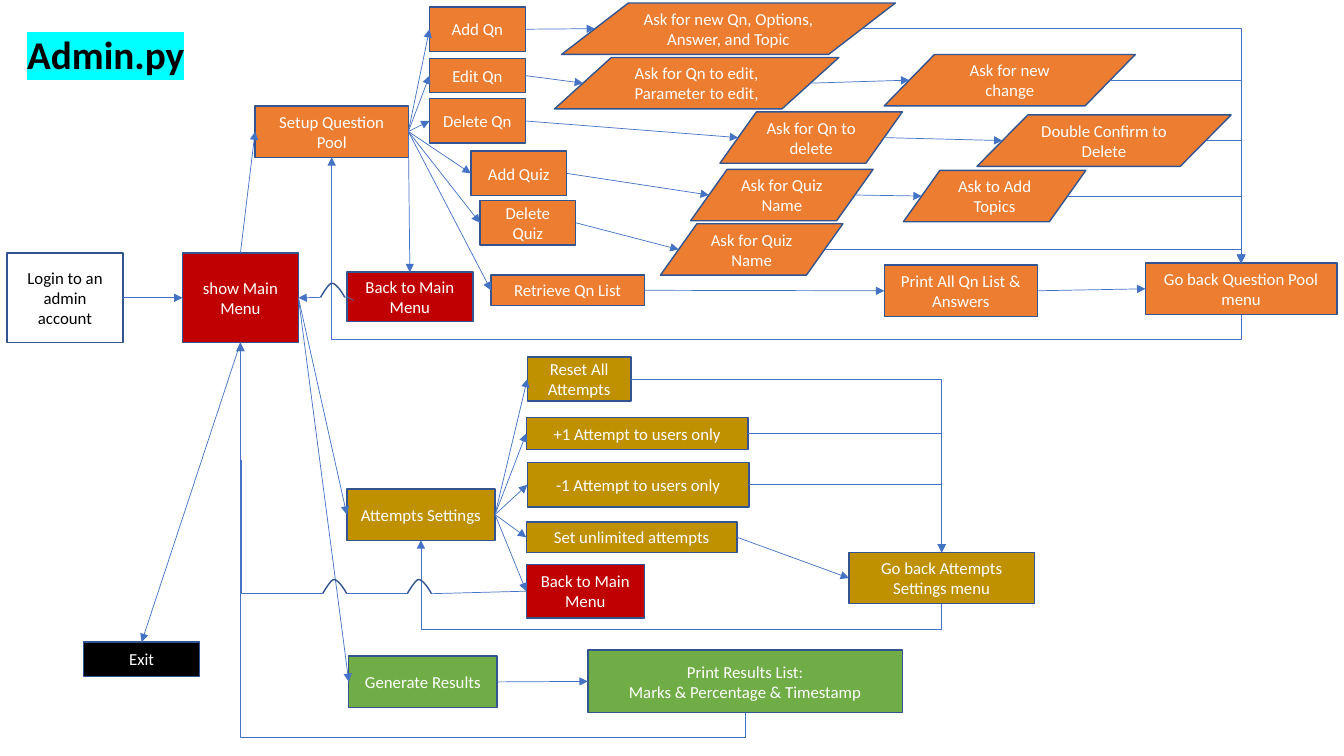
"""Draw the flow chart of the Admin.py menus on one slide."""
from lxml.etree import SubElement
from pptx import Presentation
from pptx.dml.color import RGBColor
from pptx.enum.shapes import MSO_CONNECTOR, MSO_SHAPE
from pptx.enum.text import MSO_ANCHOR, MSO_AUTO_SIZE, PP_ALIGN
from pptx.oxml.ns import qn
from pptx.util import Pt

PX = 9144
FONT = "Calibri"
WHITE = RGBColor(0xFF, 0xFF, 0xFF)
BLACK = RGBColor(0x00, 0x00, 0x00)
RED = RGBColor(0xC0, 0x00, 0x00)
GOLD = RGBColor(0xBF, 0x90, 0x00)
GREEN = RGBColor(0x70, 0xAD, 0x47)
ORANGE = RGBColor(0xED, 0x7D, 0x31)
NAVY = RGBColor(0x32, 0x54, 0x91)
BLUE = RGBColor(0x44, 0x72, 0xC4)
CYAN = RGBColor(0x00, 0xFF, 0xFF)

deck = Presentation()
deck.slide_width, deck.slide_height = 1333 * PX, 750 * PX
slide = deck.slides.add_slide(deck.slide_layouts[5])
shapes = slide.shapes


def write(run, size, color):
    """Set the font of one run."""
    run.font.name, run.font.size = FONT, Pt(size)
    run.font.color.rgb = color


def wire(start, end, form="line", adjust=(), head=True, turn=0):
    """Draw a connector of the given form between two points."""
    ends = [round(v * PX) for v in (*start, *end)]
    line = shapes.add_connector(MSO_CONNECTOR.STRAIGHT, *ends)
    line.line.color.rgb, line.line.width = BLUE, Pt(0.5)
    props = line._element.spPr
    props.find(qn("a:xfrm")).set("rot", str(turn * 60000))
    geom = props.find(qn("a:prstGeom"))
    geom.set("prst", form)
    for num, part in enumerate(adjust, 1):
        SubElement(geom.find(qn("a:avLst")), qn("a:gd"), name=f"adj{num}",
                   fmla=f"val {round(part * 100000)}")
    if head:
        SubElement(props.find(qn("a:ln")), qn("a:tailEnd"), type="triangle")
    SubElement(props, qn("a:effectLst"))


title = shapes.title
title.left, title.top, title.width, title.height = (
    v * PX for v in (17, 25, 355, 57))
frame = title.text_frame
frame.word_wrap, frame.auto_size = True, MSO_AUTO_SIZE.NONE
frame.vertical_anchor = MSO_ANCHOR.TOP
frame.paragraphs[0].alignment = PP_ALIGN.LEFT
run = frame.paragraphs[0].add_run()
run.text = "Admin.py"
write(run, 28, BLACK)
run.font.bold = True
mark = run._r.get_or_add_rPr().makeelement(qn("a:highlight"))
SubElement(mark, qn("a:srgbClr"), val=str(CYAN))
run._r.rPr.find(qn("a:solidFill")).addnext(mark)

STEP, DATA = MSO_SHAPE.FLOWCHART_PROCESS, MSO_SHAPE.FLOWCHART_DATA
boxes = [
    ("main", STEP, RED, 181, 251, 115, 89, "show Main Menu"),
    ("login", STEP, WHITE, 7, 251, 115, 89, "Login to an admin account"),
    ("exit", STEP, BLACK, 83, 637, 115, 34, "Exit"),
    ("tries", STEP, GOLD, 344, 485, 147, 51, "Attempts Settings"),
    ("results", STEP, GREEN, 346, 651, 147, 51, "Generate Results"),
    ("reset", STEP, GOLD, 523, 354, 103, 44, "Reset All Attempts"),
    ("plus", STEP, GOLD, 522, 414, 220, 32, "+1 Attempt to users only"),
    ("minus", STEP, GOLD, 523, 459, 220, 44, "-1 Attempt to users only"),
    ("free", STEP, GOLD, 522, 518, 209, 30, "Set unlimited attempts"),
    ("leave", STEP, RED, 522, 560, 117, 53, "Back to Main Menu"),
    ("tries end", STEP, GOLD, 842, 548, 184, 51,
     "Go back Attempts Settings menu"),
    ("print", STEP, GREEN, 583, 645, 312, 62,
     "Print Results List:\nMarks & Percentage & Timestamp"),
    ("pool", STEP, ORANGE, 253, 105, 152, 51, "Setup Question Pool"),
    ("add", STEP, ORANGE, 426, 7, 95, 44, "Add Qn"),
    ("edit", STEP, ORANGE, 426, 58, 95, 34, "Edit Qn"),
    ("delete", STEP, ORANGE, 426, 98, 95, 44, "Delete Qn"),
    ("quiz", STEP, ORANGE, 467, 150, 95, 44, "Add Quiz"),
    ("drop", STEP, ORANGE, 476, 199, 95, 44, "Delete Quiz"),
    ("list", STEP, ORANGE, 487, 273, 152, 30, "Retrieve Qn List"),
    ("back", STEP, RED, 344, 270, 125, 49, "Back to Main Menu"),
    ("pool end", STEP, ORANGE, 1136, 261, 190, 51,
     "Go back Question Pool menu"),
    ("show", STEP, ORANGE, 877, 263, 152, 51, "Print All Qn List & Answers"),
    ("ask new", DATA, ORANGE, 557, 3, 331, 51,
     "Ask for new Qn, Options, Answer, and Topic"),
    ("ask edit", DATA, ORANGE, 550, 57, 282, 51,
     "Ask for Qn to edit,\nParameter to edit,"),
    ("change", DATA, ORANGE, 877, 54, 249, 51, "Ask for new change"),
    ("ask delete", DATA, ORANGE, 714, 111, 181, 51, "Ask for Qn to delete"),
    ("confirm", DATA, ORANGE, 969, 114, 252, 51, "Double Confirm to Delete"),
    ("ask quiz", DATA, ORANGE, 685, 168, 181, 51, "Ask for Quiz Name"),
    ("topics", DATA, ORANGE, 896, 169, 181, 51, "Ask to Add Topics"),
    ("ask drop", DATA, ORANGE, 655, 222, 181, 51, "Ask for Quiz Name"),
]
left, right, top, base = {}, {}, {}, {}
for key, kind, fill, x, y, w, h, words in boxes:
    box = shapes.add_shape(kind, x * PX, y * PX, w * PX, h * PX)
    box.shadow.inherit = False
    box.fill.solid()
    box.fill.fore_color.rgb = fill
    box.line.color.rgb, box.line.width = NAVY, Pt(1)
    frame = box.text_frame
    frame.word_wrap, frame.vertical_anchor = True, MSO_ANCHOR.MIDDLE
    for num, text in enumerate(words.split("\n")):
        para = frame.add_paragraph() if num else frame.paragraphs[0]
        para.alignment = PP_ALIGN.CENTER
        run = para.add_run()
        run.text = text
        write(run, 12, BLACK if fill == WHITE else WHITE)
    slant = w / 10 if kind == DATA else 0
    left[key], right[key] = (x + slant, y + h / 2), (x + w - slant, y + h / 2)
    top[key], base[key] = (x + w / 2, y), (x + w / 2, y + h)

chains = [
    ("login", "main", "tries", "reset"), ("main", "results", "print"),
    ("tries", "plus"), ("tries", "minus"), ("tries", "leave"),
    ("tries", "free", "tries end"),
    ("pool", "add", "ask new"), ("pool", "edit", "ask edit", "change"),
    ("pool", "delete", "ask delete", "confirm"),
    ("pool", "quiz", "ask quiz", "topics"), ("pool", "drop", "ask drop"),
    ("pool", "list", "show", "pool end"),
]
for chain in chains:
    for first, then in zip(chain, chain[1:]):
        wire(right[first], left[then])

wire(base["main"], top["exit"])
wire(top["main"], left["pool"])
wire(right["pool"], top["back"])

falls = {"tries end": ("reset", "plus", "minus"),
         "pool end": ("ask new", "change", "confirm", "topics", "ask drop")}
for goal, keys in falls.items():
    for key in keys:
        wire(right[key], top[goal], "bentConnector2")

for first, then in (("tries end", "tries"), ("pool end", "pool"),
                    ("print", "main")):
    (x1, y1), (x2, y2) = base[first], base[then]
    mx, my, w, h = (x1 + x2) / 2, (y1 + y2) / 2, y1 - y2, x1 - x2
    wire((mx + w / 2, my - h / 2), (mx - w / 2, my + h / 2),
         "bentConnector3", (-25 / w,), turn=90)

curves = [((0, 0), (-4, -7), (-9, -14), (-13, -14)),
          ((-13, -14), (-16, -14), (-24, 0), (-24, 0))]
for x, y in ((342, 295), (428, 589), (344, 589)):
    dots = []
    for a, b, c, d in curves:
        for step in range(1, 11):
            t = step / 10
            u = 1 - t
            dots.append([(o + u**3 * p + 3 * u * u * t * q
                          + 3 * u * t * t * r + t**3 * s) * PX
                         for o, p, q, r, s in zip((x, y), a, b, c, d)])
    pen = shapes.build_freeform(x * PX, y * PX)
    pen.add_line_segments(dots, close=False)
    hop = pen.convert_to_shape()
    hop.shadow.inherit = False
    hop.fill.background()
    hop.line.color.rgb, hop.line.width = NAVY, Pt(1)

wire(left["back"], (351, 298), head=False)
wire(left["back"], (342, 295), head=False)
wire((318, 295), right["main"])
wire(left["leave"], (428, 589), head=False)
wire((404, 589), (344, 589), head=False)
wire((320, 589), base["main"], "bentConnector4", (0.99, 0.53))

deck.save("out.pptx")
